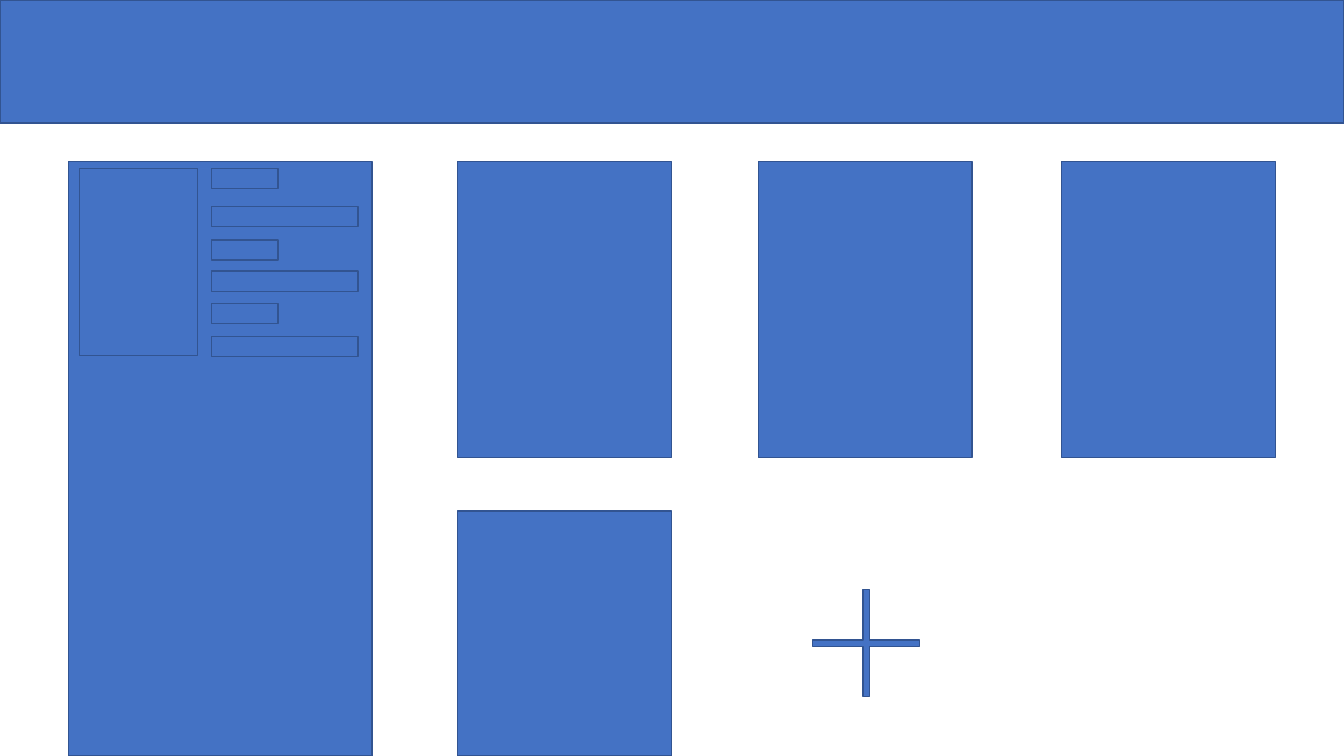
import pptx
import pptx.util
import pptx.dml.color
import pptx.enum.shapes

# Content: a wireframe, lengths in px at 100 px to the inch
PX = 9144
PAGE_WIDTH, PAGE_HEIGHT = 1333, 750
COLOURS = {"fill": "4472C4", "line": "325491"}

HEADER_HEIGHT = 122
CONTENT_TOP = 160
SIDEBAR_LEFT, SIDEBAR_WIDTH = 68, 301
CARD_LEFTS = [454, 752, 1053]
CARD_WIDTH, CARD_HEIGHT = 212, 294
SECOND_ROW_TOP = 507
PLUS_CENTRE_Y, PLUS_SIZE, PLUS_ARM_INSET = 638, 106, 0.47
PORTRAIT = (79, 167, 117, 186)
FIELD_LEFT, FIELD_HEIGHT = 210, 20
LABEL_WIDTH, VALUE_WIDTH = 66, 145
# Tops of each label and of the value below it
FIELD_PAIRS = [(167, 205), (238, 269), (301, 334)]

SHAPES = pptx.enum.shapes.MSO_SHAPE


def colour(name):
    return pptx.dml.color.RGBColor.from_string(COLOURS[name])


def add_block(page, left, top, width, height, kind=SHAPES.RECTANGLE):
    block = page.shapes.add_shape(
        kind, *(length * PX for length in (left, top, width, height)))
    block.shadow.inherit = False
    block.fill.solid()
    block.fill.fore_color.rgb = colour("fill")
    block.line.color.rgb = colour("line")
    block.line.width = pptx.util.Pt(1)
    return block


def main():
    deck = pptx.Presentation()
    deck.slide_width = PAGE_WIDTH * PX
    deck.slide_height = PAGE_HEIGHT * PX
    page = deck.slides.add_slide(deck.slide_layouts[6])

    # Sidebar and header
    add_block(page, SIDEBAR_LEFT, CONTENT_TOP, SIDEBAR_WIDTH,
              PAGE_HEIGHT - CONTENT_TOP)
    add_block(page, 0, 0, PAGE_WIDTH, HEADER_HEIGHT)

    # Card row, and the card below that runs to the page's foot
    for left in CARD_LEFTS:
        add_block(page, left, CONTENT_TOP, CARD_WIDTH, CARD_HEIGHT)
    add_block(page, CARD_LEFTS[0], SECOND_ROW_TOP, CARD_WIDTH,
              PAGE_HEIGHT - SECOND_ROW_TOP)

    # Plus sign, centred under the middle card
    plus_left = CARD_LEFTS[1] + (CARD_WIDTH - PLUS_SIZE) // 2 + 1
    plus = add_block(page, plus_left, PLUS_CENTRE_Y - PLUS_SIZE // 2,
                     PLUS_SIZE, PLUS_SIZE, SHAPES.CROSS)
    plus.adjustments[0] = PLUS_ARM_INSET

    # Portrait and fields in the sidebar
    add_block(page, *PORTRAIT)
    for label_top, value_top in FIELD_PAIRS:
        add_block(page, FIELD_LEFT, label_top, LABEL_WIDTH, FIELD_HEIGHT)
        add_block(page, FIELD_LEFT, value_top, VALUE_WIDTH, FIELD_HEIGHT)

    deck.save("out.pptx")


if __name__ == "__main__":
    main()
